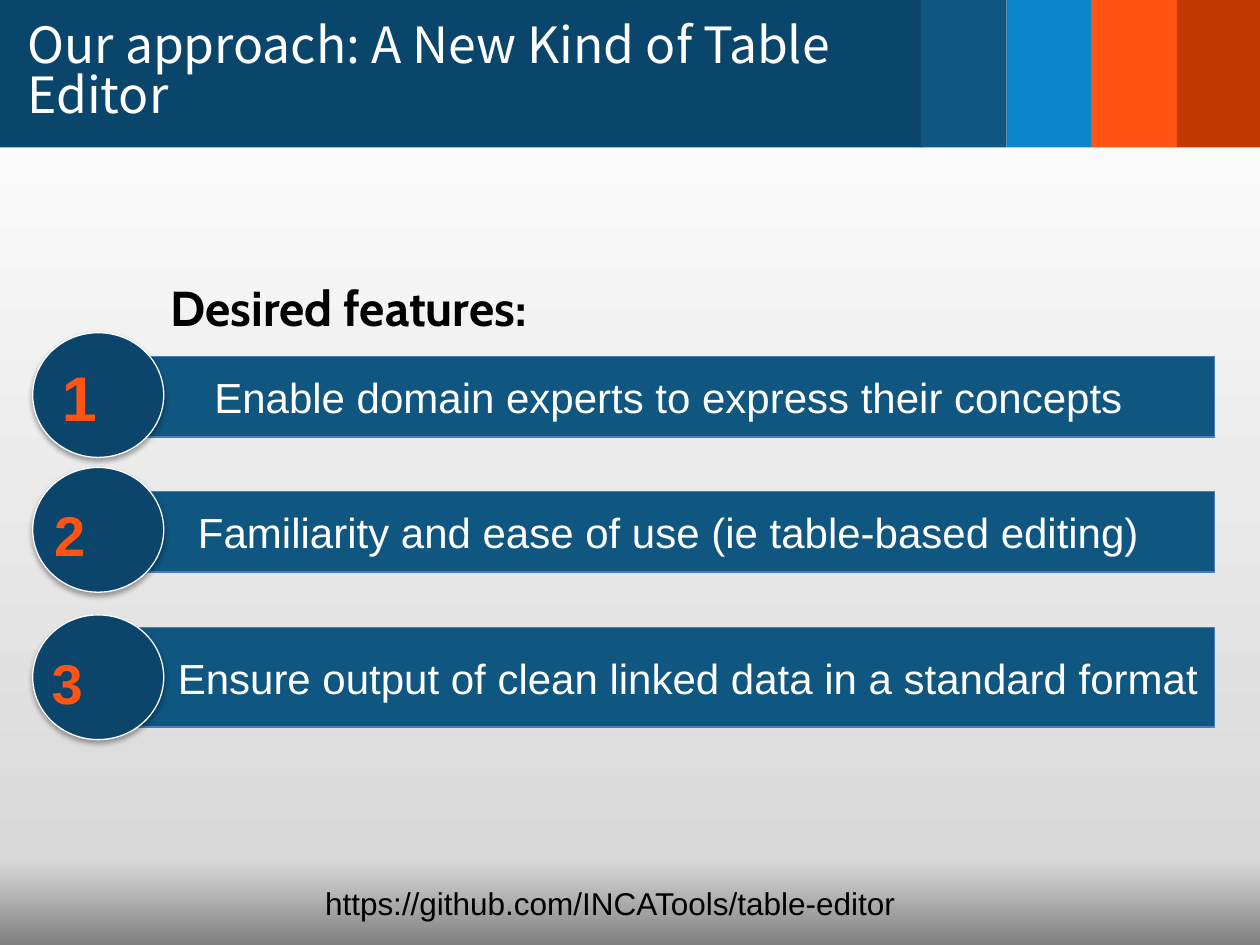
from copy import deepcopy
from typing import NamedTuple

from lxml.etree import SubElement as Sub
from pptx import Presentation
from pptx.dml.color import RGBColor as Rgb
from pptx.enum.shapes import MSO_SHAPE as Kind
from pptx.enum.text import MSO_ANCHOR as Anchor, PP_ALIGN as Align
from pptx.oxml.ns import qn
from pptx.util import Emu, Pt

SCALE = 9144
NAVY = Rgb(0x0A, 0x45, 0x6C)
DISC = Rgb(0x0B, 0x45, 0x6C)
TEAL = Rgb(0x0F, 0x56, 0x81)
BAR = Rgb(0x0F, 0x56, 0x80)
BLUE = Rgb(0x0D, 0x85, 0xCA)
EDGE = Rgb(0x4A, 0x7E, 0xBB)
ORANGE = Rgb(0xFF, 0x54, 0x14)
DIGIT = Rgb(0xFF, 0x54, 0x13)
RUST = Rgb(0xC4, 0x39, 0x00)
WHITE = Rgb(0xFF, 0xFF, 0xFF)
BLACK = Rgb(0, 0, 0)
GREY = Rgb(0x80, 0x80, 0x80)
PALE = Rgb(0xD9, 0xD9, 0xD9)


class Box(NamedTuple):
    x: int
    y: int
    w: int
    h: int


class Type(NamedTuple):
    size: float
    color: Rgb
    face: str = "Arial"
    bold: bool = False


class Row(NamedTuple):
    text: str
    bar: Box
    disc: Box
    num: Box
    size: int
    indent: int = 0


ROWS = [
    Row("Enable domain experts to express their concepts",
        Box(97, 283, 867, 64), Box(26, 264, 104, 99), Box(44, 280, 89, 70), 36),
    Row("Familiarity and ease of use (ie table-based editing)",
        Box(97, 390, 867, 64), Box(26, 371, 104, 99), Box(38, 392, 104, 63), 32),
    Row("Ensure output of clean linked data in a standard format",
        Box(97, 498, 867, 79), Box(26, 488, 104, 99), Box(36, 510, 104, 63), 32, 31),
]


def px(n: int) -> Emu:
    return Emu(n * SCALE)


def draw(slide, kind: Kind, box: Box, fill: Rgb, line: Rgb | None = None):
    shape = slide.shapes.add_shape(kind, *map(px, box))
    shape.shadow.inherit = False
    shape.fill.solid()
    shape.fill.fore_color.rgb = fill
    if line is None:
        shape.line.fill.background()
    else:
        shape.line.color.rgb = line
        shape.line.width = Pt(0.75)
    return shape


def write(shape, text: str, style: Type, align: Align = Align.LEFT,
          anchor: Anchor = Anchor.TOP, wrap: bool = True, pad: int = 5):
    frame = shape.text_frame
    frame.text = text
    frame.word_wrap = wrap
    frame.vertical_anchor = anchor
    frame.margin_left = frame.margin_right = px(pad)
    frame.margin_top = frame.margin_bottom = px(pad)
    para = frame.paragraphs[0]
    para.alignment = align
    font = para.runs[0].font
    font.size = Pt(style.size)
    font.name = style.face
    font.bold = style.bold
    font.color.rgb = style.color
    return para


def label(slide, box: Box, text: str, style: Type, **opts):
    return write(slide.shapes.add_textbox(*map(px, box)), text, style, **opts)


def shade(shape) -> None:
    effects = shape._element.spPr.find(qn("a:effectLst"))
    outer = Sub(effects, qn("a:outerShdw"), blurRad=str(Pt(3)), dist=str(Pt(1.8)),
                dir="5400000", rotWithShape="0")
    color = Sub(outer, qn("a:srgbClr"), val="000000")
    Sub(color, qn("a:alpha"), val="35000")


def paint(slide) -> None:
    fill = slide.background.fill
    fill.gradient()
    fill.gradient_angle = 90
    stops = next(slide._element.iter(qn("a:gsLst")))
    stops.append(deepcopy(stops[-1]))
    for stop, (pos, color) in zip(fill.gradient_stops, [(0, GREY), (0.09, PALE), (0.94, WHITE)]):
        stop.position = pos
        stop.color.rgb = color


def banner(slide) -> None:
    draw(slide, Kind.RECTANGLE, Box(0, 0, 732, 117), NAVY)
    for i, color in enumerate([TEAL, BLUE, ORANGE, RUST]):
        left = 731 + (i * 135 + 1) // 2
        draw(slide, Kind.RECTANGLE, Box(left, 0, min(68, 1000 - left), 117), color)
    title = label(slide, Box(12, 0, 718, 117), "Our approach: A New Kind of Table Editor",
                  Type(28.5, WHITE, "Noto Sans CJK KR"), anchor=Anchor.MIDDLE, pad=10)
    title.line_spacing = 0.83


def feature(slide, num: int, row: Row) -> None:
    bar = draw(slide, Kind.RECTANGLE, row.bar, BAR, EDGE)
    para = write(bar, row.text, Type(24, WHITE), Align.CENTER, Anchor.MIDDLE)
    if row.indent:
        para._p.get_or_add_pPr().set("indent", str(px(row.indent)))
    shade(draw(slide, Kind.OVAL, row.disc, DISC, WHITE))
    label(slide, row.num, str(num), Type(row.size, DIGIT, bold=True))


def main() -> None:
    deck = Presentation()
    deck.slide_width, deck.slide_height = px(1000), px(750)
    slide = deck.slides.add_slide(deck.slide_layouts[6])
    paint(slide)
    banner(slide)
    label(slide, Box(112, 215, 329, 57), "Desired features:",
          Type(28, BLACK, "Cabin", True), align=Align.CENTER, wrap=False)
    for num, row in enumerate(ROWS, 1):
        feature(slide, num, row)
    label(slide, Box(253, 697, 464, 38), "https://github.com/INCATools/table-editor",
          Type(18, BLACK), wrap=False)
    deck.save("out.pptx")


if __name__ == "__main__":
    main()
